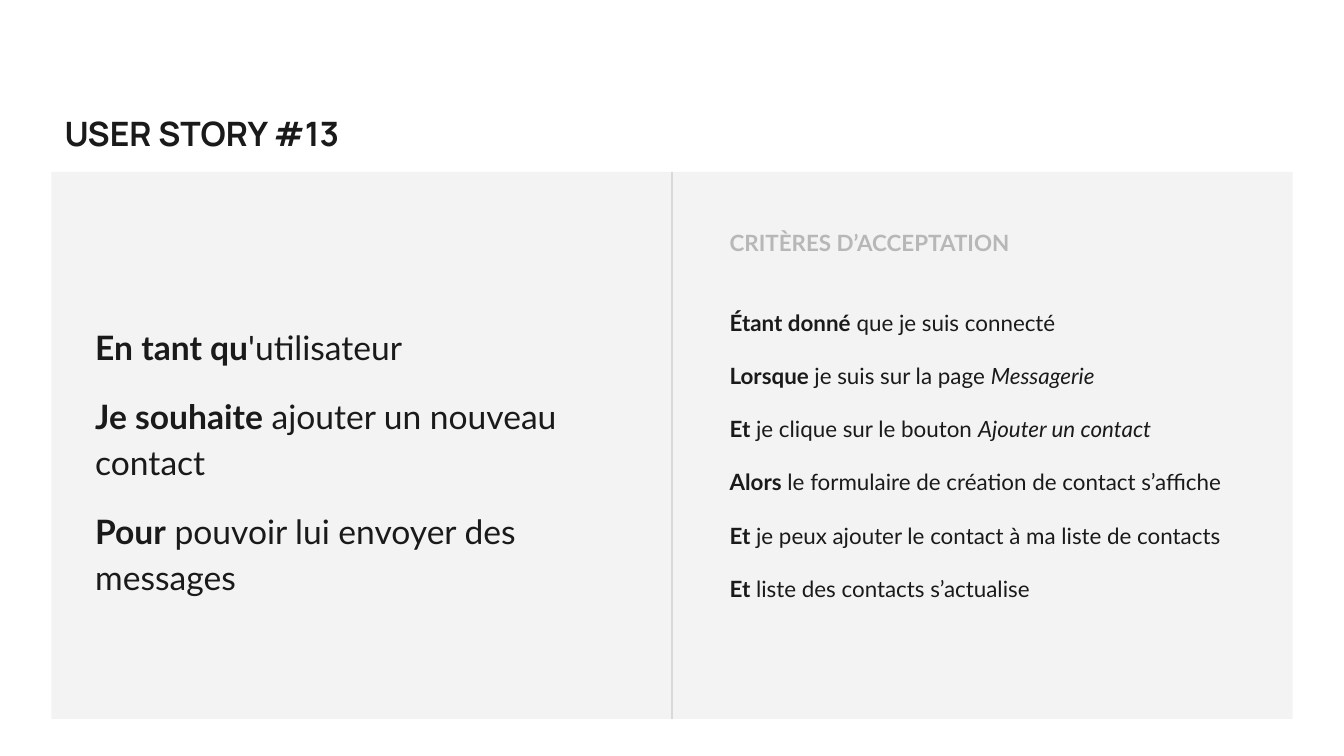
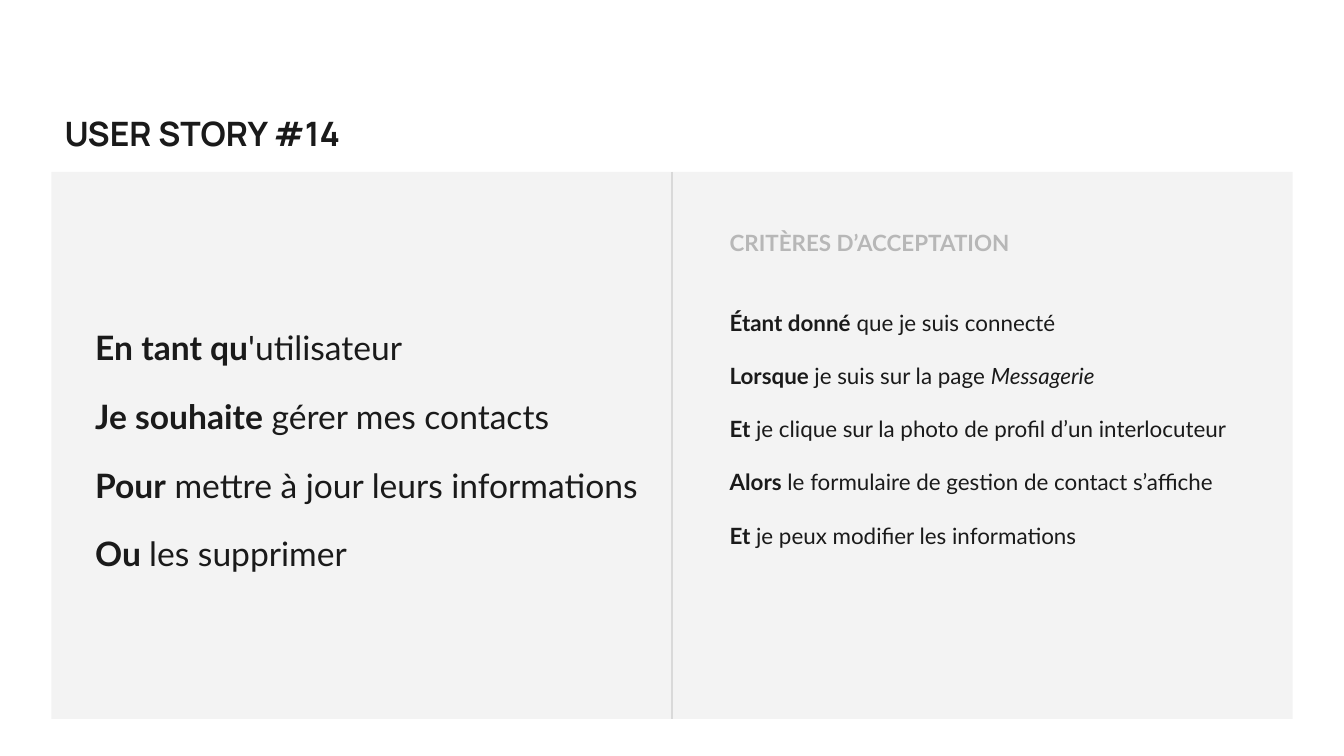
"""Build two user story slides with their acceptance criteria."""
from dataclasses import dataclass

from lxml import etree
from pptx import Presentation
from pptx.dml.color import RGBColor
from pptx.enum.shapes import MSO_CONNECTOR, MSO_SHAPE
from pptx.enum.text import MSO_ANCHOR, MSO_AUTO_SIZE, PP_ALIGN
from pptx.oxml.ns import qn
from pptx.util import Cm, Pt

RECT = MSO_SHAPE.RECTANGLE
STRAIGHT = MSO_CONNECTOR.STRAIGHT
TOP, LEFT = MSO_ANCHOR.TOP, PP_ALIGN.LEFT
GROW, FIXED = MSO_AUTO_SIZE.SHAPE_TO_FIT_TEXT, MSO_AUTO_SIZE.NONE

B, I, N = {"bold": True}, {"italic": True}, {}

CRITERIA_TITLE = "CRITÈRES D’ACCEPTATION"
COMMON_CRITERIA = [
    [("Étant donné", B), (" que je suis connecté", N)],
    [("Lorsque ", B), ("je suis sur la page ", N), ("Messagerie", I)],
]
STORIES = [
    {
        "title": "USER STORY #13",
        "story": [
            [("En tant qu", B), ("'utilisateur", N)],
            [("Je souhaite", B), (" ajouter un nouveau contact", N)],
            [("Pour", B), (" pouvoir lui envoyer des messages", N)],
        ],
        "criteria": [
            [("Et", B), (" je clique sur le bouton ", N), ("Ajouter un contact", I)],
            [("Alors", B), (" le formulaire de création de contact s’affiche", N)],
            [("Et", B), (" je peux ajouter le contact à ma liste de contacts", N)],
            [("Et", B), (" liste des contacts s’actualise", N)],
        ],
    },
    {
        "title": "USER STORY #14",
        "story": [
            [("En tant qu", B), ("'utilisateur", N)],
            [("Je souhaite", B), (" gérer mes contacts", N)],
            [("Pour", B), (" mettre à jour leurs informations", N)],
            [("Ou ", B), ("les supprimer", N)],
        ],
        "criteria": [
            [("Et", B), (" je clique sur la photo de profil d’un interlocuteur", N)],
            [("Alors", B), (" le formulaire de gestion de contact s’affiche", N)],
            [("Et", B), (" je peux modifier les informations", N)],
        ],
    },
]


@dataclass(frozen=True)
class Theme:
    ink: str = "1A1A1A"
    muted: str = "B7B7B7"
    panel: str = "F3F3F3"
    divider: str = "D9D9D9"
    head_font: str = "Manrope"
    body_font: str = "Lato"
    large: int = 18
    small: int = 12
    gap: int = 12
    leading: float = 1.15
    inset: float = 0.25
    rule: float = 0.75


T = Theme()
SLIDE_W, SLIDE_H = 25.4, 14.29
PANEL_X, PANEL_Y, PANEL_H = 0.97, 3.25, 10.34
PANEL_W = SLIDE_W - 2 * PANEL_X
TITLE_H = 1.37
TITLE_BOX = (PANEL_X, PANEL_Y - TITLE_H, 6.91, TITLE_H)
STORY_BOX = (1.55, 5.82, 11.02, 5.21)
CRITERIA_X = 13.54
HEADING_BOX = (CRITERIA_X, 4.09, 8.33, 1.02)
CRITERIA_BOX = (CRITERIA_X, 5.51, 10.11, 7.29)


def set_all(obj, values):
    for name, value in values.items():
        setattr(obj, name, value)


def add_text(s, box, paragraphs, size, font=T.body_font, color=T.ink,
             spaced=False, auto_size=FIXED):
    tf = s.shapes.add_textbox(*map(Cm, box)).text_frame
    set_all(tf, {"word_wrap": True, "auto_size": auto_size, "vertical_anchor": TOP})
    set_all(tf, {f"margin_{side}": Cm(T.inset)
                 for side in ("left", "top", "right", "bottom")})
    last = len(paragraphs) - 1
    for n, runs in enumerate(paragraphs):
        p = tf.add_paragraph() if n else tf.paragraphs[0]
        p.alignment = LEFT
        if spaced:
            set_all(p, {"line_spacing": T.leading,
                        "space_before": Pt(T.gap if n else 0),
                        "space_after": Pt(T.gap if n == last else 0)})
        for text, style in runs:
            r = p.add_run()
            r.text = text
            set_all(r.font, {"name": font, "size": Pt(size),
                             "bold": False, "italic": False, **style})
            r.font.color.rgb = RGBColor.from_string(color)


def add_panel(s):
    sp = s.shapes.add_shape(RECT, *map(Cm, (PANEL_X, PANEL_Y, PANEL_W, PANEL_H)))
    sp.shadow.inherit = False
    sp.fill.solid()
    sp.fill.fore_color.rgb = RGBColor.from_string(T.panel)
    sp.line.fill.background()
    return sp


def add_divider(s, panel):
    x = Cm(SLIDE_W / 2)
    line = s.shapes.add_connector(STRAIGHT, x, panel.top, x, panel.top + panel.height)
    line.begin_connect(panel, 0)
    line.end_connect(panel, 2)
    line.line.color.rgb = RGBColor.from_string(T.divider)
    line.line.width = Pt(T.rule)
    etree.SubElement(line._element.spPr, qn("a:effectLst"))


def add_story(prs, story):
    s = prs.slides.add_slide(prs.slide_layouts[6])
    panel = add_panel(s)
    add_text(s, TITLE_BOX, [[(story["title"], B)]], T.large, font=T.head_font)
    add_text(s, STORY_BOX, story["story"], T.large, spaced=True)
    add_text(s, CRITERIA_BOX, COMMON_CRITERIA + story["criteria"], T.small, spaced=True)
    add_divider(s, panel)
    add_text(s, HEADING_BOX, [[(CRITERIA_TITLE, B)]], T.small,
             color=T.muted, auto_size=GROW)


def main():
    prs = Presentation()
    set_all(prs, {"slide_width": Cm(SLIDE_W), "slide_height": Cm(SLIDE_H)})
    for story in STORIES:
        add_story(prs, story)
    prs.save("out.pptx")


if __name__ == "__main__":
    main()
